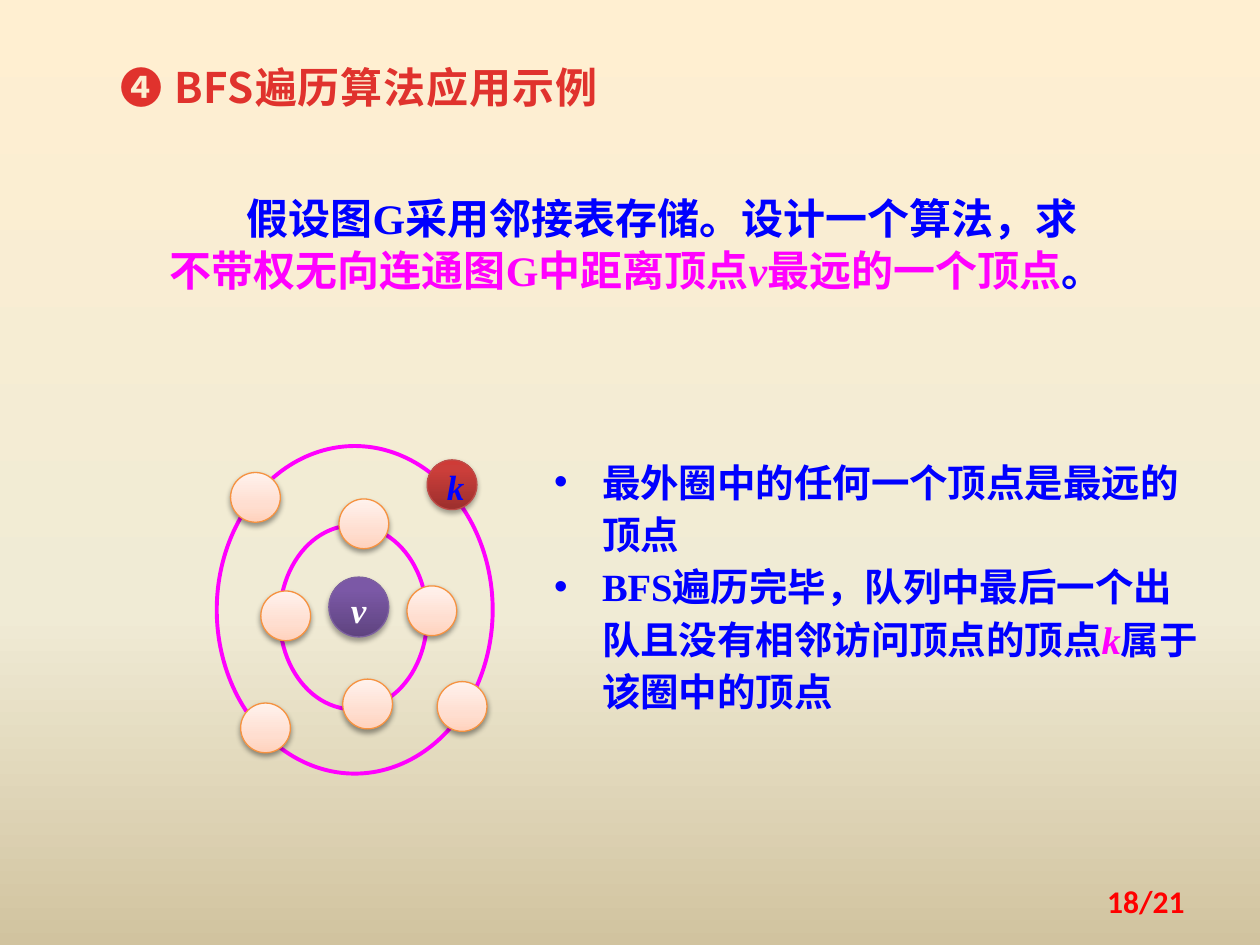
import pptx
import pptx.util
import pptx.dml.color
import pptx.enum.shapes
import pptx.enum.text
import pptx.oxml
import pptx.oxml.ns
import lxml.etree

BLUE, MAGENTA, WHITE, RED = "0000FF", "FF00FF", "FFFFFF", "FF0000"
ALIGN = pptx.enum.text.PP_ALIGN
ANCHOR = pptx.enum.text.MSO_ANCHOR
qn = pptx.oxml.ns.qn


def rgb(value):
    return pptx.dml.color.RGBColor.from_string(value)


def add_node(parent, tag, **attributes):
    node = lxml.etree.SubElement(parent, qn(tag))
    for key, value in attributes.items():
        node.set(key, str(value))
    return node


class Deck:
    columns, rows = 100, 75
    serif, sans, digits = "Times New Roman", "Noto Sans CJK SC", "Calibri"
    line_pitch = pptx.util.Pt(30)
    vertex_size = 3.95
    plain_vertex = ([(0, "FFD2BD"), (35, "FFDED0"), (100, "FFF2ED")], "F69240", 38)
    start_vertex = ([(0, "5F4480"), (80, "7B58A6"), (100, "7C57A8")], "7D60A0", 35)
    far_vertex = ([(0, "9C2F2D"), (80, "CB3E3A"), (100, "CE3B37")], "BF4C48", 35)

    def __init__(self):
        self.presentation = pptx.Presentation()
        self.presentation.slide_width = pptx.util.Inches(10)
        self.presentation.slide_height = pptx.util.Inches(7.5)
        self.slide = None

    def across(self, count):
        return round(self.presentation.slide_width * count / self.columns)

    def down(self, count):
        return round(self.presentation.slide_height * count / self.rows)

    def box(self, left, top, width, height):
        return self.across(left), self.down(top), self.across(width), self.down(height)

    def gradient(self, fill, owner, stops, angle):
        fill.gradient()
        fill.gradient_angle = angle
        stop_list = owner.find(".//" + qn("a:gsLst"))
        for stop in list(stop_list):
            stop_list.remove(stop)
        for share, color in stops:
            stop = add_node(stop_list, "a:gs", pos=share * 1000)
            add_node(stop, "a:srgbClr", val=color)

    def new_slide(self, stops):
        self.slide = self.presentation.slides.add_slide(self.presentation.slide_layouts[5])
        self.gradient(self.slide.background.fill, self.slide.element, stops, 270)

    def style(self, run, size, color, face, bold=True, italic=False):
        font = run.font
        font.size, font.name = pptx.util.Pt(size), face
        font.bold, font.italic = bold, italic
        font.color.rgb = rgb(color)
        add_node(run.font._element, "a:ea", typeface=self.sans)

    def title(self, area, text, size, color):
        heading = self.slide.shapes.title
        heading.left, heading.top, heading.width, heading.height = self.box(*area)
        frame = heading.text_frame
        frame.text = text
        frame.auto_size = pptx.enum.text.MSO_AUTO_SIZE.NONE
        frame.vertical_anchor = ANCHOR.TOP
        paragraph = frame.paragraphs[0]
        paragraph.alignment = ALIGN.LEFT
        paragraph.line_spacing = self.line_pitch
        self.style(paragraph.runs[0], size, color, self.sans)
        paragraph.runs[0].font._element.set("spc", "50")

    def prose(self, area, paragraphs, size, hanging=0, first_line=0):
        frame = self.slide.shapes.add_textbox(*self.box(*area)).text_frame
        frame.word_wrap = True
        for index, pieces in enumerate(paragraphs):
            paragraph = frame.add_paragraph() if index else frame.paragraphs[0]
            paragraph.line_spacing = self.line_pitch
            properties = paragraph._p.get_or_add_pPr()
            properties.set("marL", str(self.across(hanging)))
            properties.set("indent", str(self.across(first_line - hanging)))
            if hanging:
                add_node(properties, "a:buFont", typeface="Arial")
                add_node(properties, "a:buChar", char="•")
            for text, color, italic in pieces:
                run = paragraph.add_run()
                run.text = text
                self.style(run, size, color, self.serif, italic=italic)

    def page_number(self, area, text):
        frame = self.slide.shapes.add_textbox(*self.box(*area)).text_frame
        frame.word_wrap = True
        frame.text = text
        frame.vertical_anchor = ANCHOR.MIDDLE
        frame.paragraphs[0].alignment = ALIGN.RIGHT
        self.style(frame.paragraphs[0].runs[0], 18, RED, self.digits)

    def ellipse(self, shapes, area, line, weight):
        oval = shapes.add_shape(pptx.enum.shapes.MSO_SHAPE.OVAL, *self.box(*area))
        oval.shadow.inherit = False
        oval.line.color.rgb = rgb(line)
        oval.line.width = pptx.util.Pt(weight)
        return oval

    def vertex(self, shapes, left, top, look, label="", color=WHITE, size=vertex_size):
        stops, line, opacity = look
        node = self.ellipse(shapes, (left, top, size, size), line, 0.75)
        self.gradient(node.fill, node._element, stops, 90)
        shadow = add_node(node._element.spPr.find(qn("a:effectLst")), "a:outerShdw",
                          blurRad=pptx.util.Pt(3.1), dist=pptx.util.Pt(1.8),
                          dir=90 * 60000, rotWithShape=0)
        shade = add_node(shadow, "a:srgbClr", val="000000")
        add_node(shade, "a:alpha", val=opacity * 1000)
        if label:
            frame = node.text_frame
            frame.text = label
            frame.vertical_anchor = ANCHOR.MIDDLE
            paragraph = frame.paragraphs[0]
            paragraph.alignment = ALIGN.CENTER
            paragraph.line_spacing = 1.1
            self.style(paragraph.runs[0], 20, color, self.serif, italic=True)

    def ring(self, area, corners):
        shapes = self.slide.shapes.add_group_shape().shapes
        self.ellipse(shapes, area, MAGENTA, 2.25).fill.background()
        for left, top in corners:
            self.vertex(shapes, left, top, self.plain_vertex)
        return shapes


def main():
    deck = Deck()
    deck.new_slide([(0, "FFEFD1"), (65, "F0EBD5"), (100, "D1C39F")])
    deck.title((8.6, 4.2, 44.5, 5.2), "❹ BFS遍历算法应用示例", 24, "E0322D")

    problem = [
        ("假设图G采用邻接表存储。设计一个算法，求", BLUE, False),
        ("不带权无向连通图G中距离顶点", MAGENTA, False),
        ("v", MAGENTA, True),
        ("最远的一个顶点", MAGENTA, False),
        ("。", BLUE, False),
    ]
    deck.prose((12.5, 14.6, 75, 9.4), [problem], 24, first_line=6.1)

    deck.vertex(deck.slide.shapes, 26.1, 45.8, deck.start_vertex, "v", size=4.75)
    deck.ring((22.2, 41.7, 11.7, 14.6),
              [(32.3, 46.5), (27.2, 53.9), (26.9, 39.6), (20.7, 46.9)])
    outer_ring = deck.ring((17.2, 35.4, 21.9, 26),
                           [(19.1, 55.8), (34.7, 54.1), (18.3, 37.5)])
    deck.vertex(outer_ring, 33.9, 36.5, deck.far_vertex, "k", BLUE)

    findings = [
        [("最外圈中的任何一个顶点是最远的顶点", BLUE, False)],
        [("BFS遍历完毕，队列中最后一个出队且没有相邻访问顶点的顶点", BLUE, False),
         ("k", MAGENTA, True),
         ("属于该圈中的顶点", BLUE, False)],
    ]
    deck.prose((43, 35.4, 53.9, 21.7), findings, 22, hanging=3.8)
    deck.page_number((71.7, 69.5, 23.3, 4), "18/21")
    deck.presentation.save("out.pptx")


if __name__ == "__main__":
    main()
